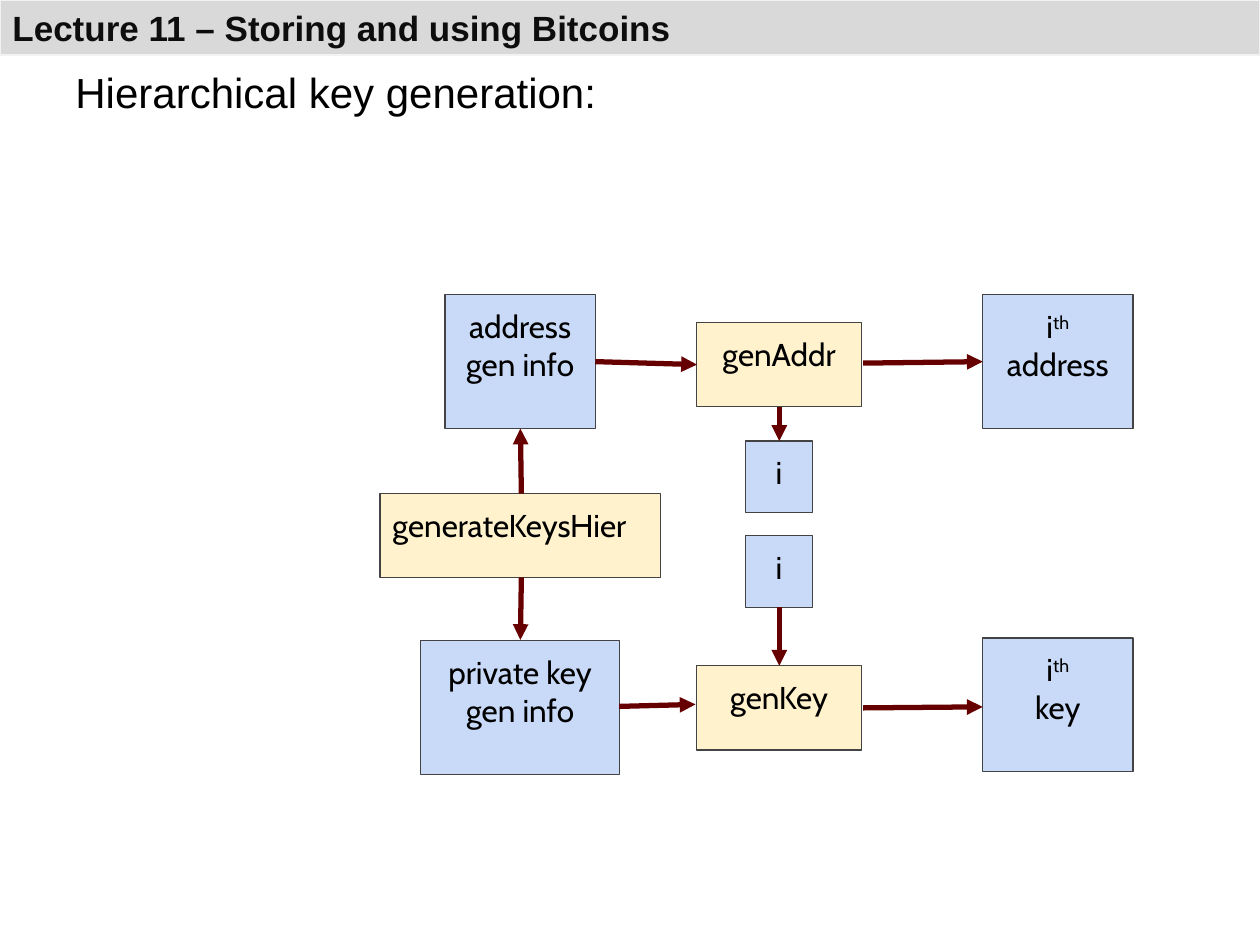
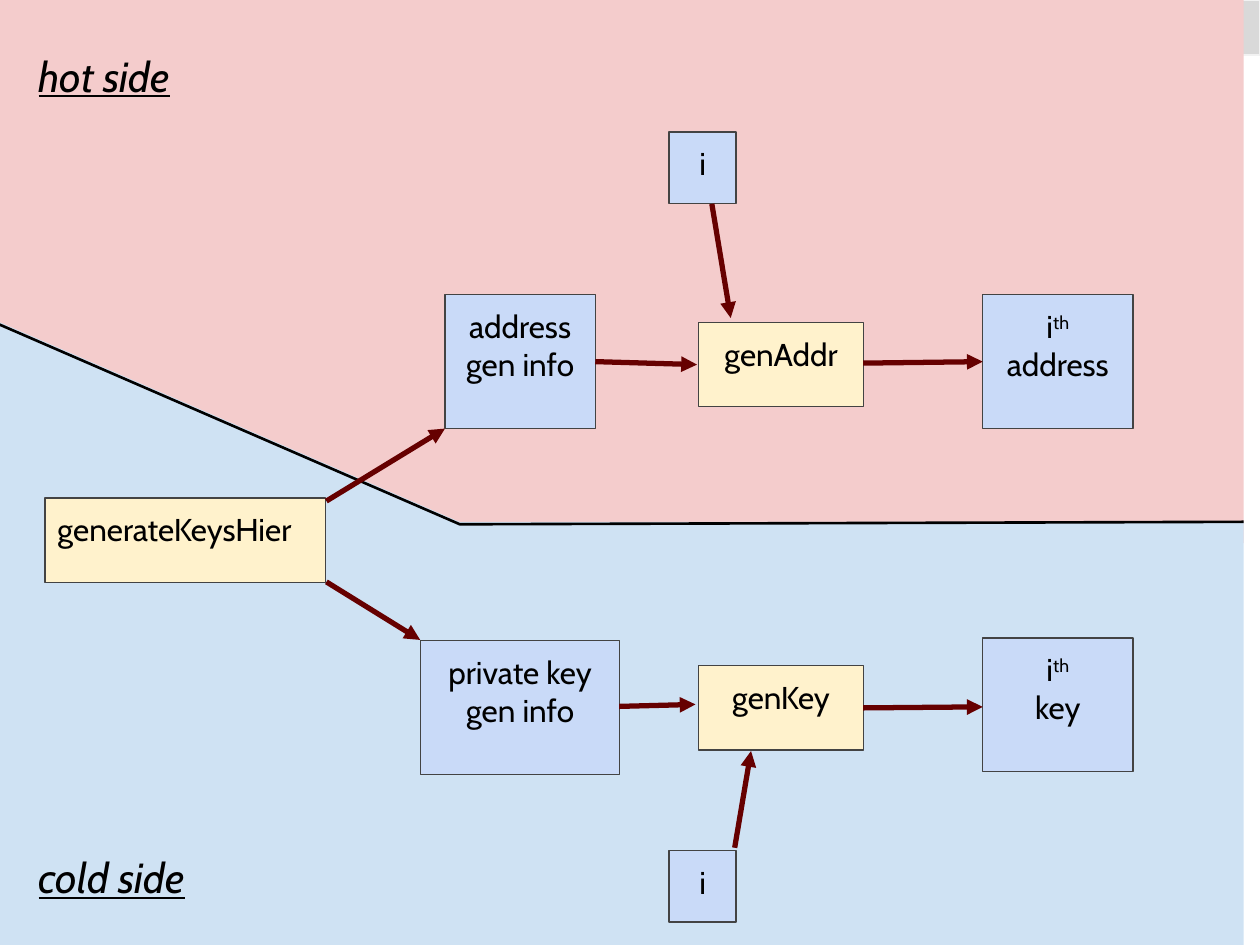
from lxml import etree
from pptx import Presentation
from pptx.dml.color import RGBColor
from pptx.enum.shapes import MSO_CONNECTOR, MSO_SHAPE
from pptx.enum.text import MSO_ANCHOR, MSO_AUTO_SIZE, PP_ALIGN
from pptx.oxml.ns import qn
from pptx.util import Cm, Pt

RECTANGLE = MSO_SHAPE.RECTANGLE
RIGHT_TRIANGLE = MSO_SHAPE.RIGHT_TRIANGLE
STRAIGHT = MSO_CONNECTOR.STRAIGHT
TOP, MIDDLE = MSO_ANCHOR.TOP, MSO_ANCHOR.MIDDLE
LEFT, CENTER = PP_ALIGN.LEFT, PP_ALIGN.CENTER

COLORS = {
    "band": "D9D9D9", "band_edge": "F2F2F2", "title": "0D0D0D",
    "text": "000000", "data": "C9DAF8", "function": "FFF2CC",
    "box_edge": "434343", "arrow": "660000", "border": "000000",
    "hot": "F4CCCC", "cold": "CFE2F3",
}
FRAME_FORMAT = {
    "margin_left": Cm(0.25), "margin_right": Cm(0.25),
    "margin_top": Cm(0.25), "margin_bottom": Cm(0.25),
    "word_wrap": True, "auto_size": MSO_AUTO_SIZE.NONE,
}
TITLE_FONT = {"name": "Arial", "size": Pt(20), "bold": True}
BODY_FONT = {"name": "Arial", "size": Pt(24)}
BOX_FONT = {"name": "Cabin", "size": Pt(18)}
SIDE_FONT = {"name": "Cabin", "size": Pt(24), "italic": True, "underline": True}

SLIDE_WIDTH, SLIDE_HEIGHT = 25.4, 19.05
SIDE_WIDTH = 25.07
DATA_SIZE = (3.03, 2.7)
PRIVATE_SIZE = (4.01, 2.7)
INDEX_SIZE = (1.35, 1.45)
GENERATOR_SIZE = (3.33, 1.7)
HIERARCHY_SIZE = (5.66, 1.7)
ADDRESS_TOP, KEY_TOP = 5.94, 12.88
RESULT_LEFT = 19.81


def paint(shape, fill, line=None, width=0.75):
    shape.shadow.inherit = False
    shape.fill.solid()
    shape.fill.fore_color.rgb = RGBColor.from_string(COLORS[fill])
    if line:
        shape.line.color.rgb = RGBColor.from_string(COLORS[line])
        shape.line.width = Pt(width)
    else:
        shape.line.fill.background()


def write_text(shape, text, font_format, alignment=LEFT, anchor=TOP, color="text"):
    """Write one paragraph per line; what follows a ^ is superscript."""
    frame = shape.text_frame
    for name, value in FRAME_FORMAT.items():
        setattr(frame, name, value)
    frame.vertical_anchor = anchor
    for number, line in enumerate(text.split("\n")):
        paragraph = frame.add_paragraph() if number else frame.paragraphs[0]
        paragraph.alignment = alignment
        paragraph.space_before = Pt(0)
        for level, part in enumerate(line.split("^")):
            run = paragraph.add_run()
            run.text = part
            for name, value in font_format.items():
                setattr(run.font, name, value)
            run.font.color.rgb = RGBColor.from_string(COLORS[color])
            if level:
                run._r.get_or_add_rPr().set("baseline", "30000")


presentation = Presentation()
presentation.slide_width = Cm(SLIDE_WIDTH)
presentation.slide_height = Cm(SLIDE_HEIGHT)
overview = presentation.slides.add_slide(presentation.slide_layouts[1])
sides = presentation.slides.add_slide(presentation.slide_layouts[6])

# The grey band holds the title where there is one
for slide in (overview, sides):
    place = (Cm(0), Cm(0), Cm(SLIDE_WIDTH), Cm(1.11))
    band = slide.shapes.title
    if band is None:
        band = slide.shapes.add_shape(RECTANGLE, *place)
    band.left, band.top, band.width, band.height = place
    paint(band, "band", "band_edge")
write_text(overview.shapes.title, "Lecture 11 – Storing and using Bitcoins",
           TITLE_FONT, anchor=MIDDLE, color="title")

body = overview.placeholders[1]
body.left, body.top, body.width, body.height = Cm(1.27), Cm(1.09), Cm(22.86), Cm(2.21)
write_text(body, "Hierarchical key generation:", BODY_FONT)
properties = body.text_frame.paragraphs[0]._p.get_or_add_pPr()
properties.set("marL", "0")
properties.set("indent", "0")
etree.SubElement(properties, qn("a:buNone"))

# Hot and cold regions with the border between them
for kind, color, left, top, width, height in (
    (RECTANGLE, "hot", 0, 0, SIDE_WIDTH, 10.95),
    (RIGHT_TRIANGLE, "cold", 0, 6.5, 9.35, 4.06),
    (RECTANGLE, "cold", 0, 10.52, SIDE_WIDTH, SLIDE_HEIGHT - 10.52),
):
    region = sides.shapes.add_shape(kind, Cm(left), Cm(top), Cm(width), Cm(height))
    paint(region, color)

builder = sides.shapes.build_freeform(Cm(SIDE_WIDTH), Cm(10.52))
builder.add_line_segments([(Cm(9.27), Cm(10.57)), (Cm(-0.04), Cm(6.53))], close=False)
border = builder.convert_to_shape()
paint(border, "cold", "border", 1.5)
border.fill.background()

for text, top, width in (("hot side", 0.76, 3.58), ("cold side", 16.92, 4.22)):
    label = sides.shapes.add_textbox(Cm(0.53), Cm(top), Cm(width), Cm(1.7))
    write_text(label, text, SIDE_FONT)

# Boxes: text, fill, left, top, size
shared_boxes = [
    ("address\ngen info", "data", 8.97, ADDRESS_TOP, DATA_SIZE),
    ("private key\ngen info", "data", 8.48, KEY_TOP + 0.03, PRIVATE_SIZE),
    ("i^th\naddress", "data", RESULT_LEFT, ADDRESS_TOP, DATA_SIZE),
    ("i^th\nkey", "data", RESULT_LEFT, KEY_TOP - 0.02, DATA_SIZE),
]
# Arrows: start x, start y, end x, end y
shared_arrows = [
    (12, 7.29, 14.05, 7.35),
    (12.48, 14.24, 14.02, 14.2),
    (17.4, 7.32, RESULT_LEFT, 7.29),
    (17.4, 14.27, RESULT_LEFT, 14.25),
]
diagrams = [
    (overview, 14.04, (7.66, 9.95), [(15.03, 8.89), (15.03, 10.8)], [
        (10.51, 9.95, 10.49, 8.64),
        (10.51, 11.64, 10.49, 12.9),
        (15.71, 8.2, 15.71, 8.89),
        (15.71, 12.24, 15.71, 13.42),
    ]),
    (sides, 14.08, (0.91, 10.04), [(13.49, 2.66), (13.49, 17.14)], [
        (6.58, 10.1, 8.97, 8.64),
        (6.58, 11.73, 8.47, 12.9),
        (14.35, 4.11, 14.73, 6.41),
        (14.81, 17.09, 15.14, 15.14),
    ]),
]

for slide, generator_left, hierarchy_place, index_places, arrows in diagrams:
    boxes = shared_boxes + [
        ("generateKeysHier", "function", *hierarchy_place, HIERARCHY_SIZE),
        ("genAddr", "function", generator_left, 6.5, GENERATOR_SIZE),
        ("genKey", "function", generator_left, 13.42, GENERATOR_SIZE),
    ]
    boxes += [("i", "data", *place, INDEX_SIZE) for place in index_places]
    for text, color, left, top, (width, height) in boxes:
        box = slide.shapes.add_shape(RECTANGLE, Cm(left), Cm(top), Cm(width), Cm(height))
        paint(box, color, "box_edge")
        alignment = LEFT if text == "generateKeysHier" else CENTER
        write_text(box, text, BOX_FONT, alignment)

    for ends in shared_arrows + arrows:
        arrow = slide.shapes.add_connector(STRAIGHT, *[Cm(value) for value in ends])
        arrow.line.color.rgb = RGBColor.from_string(COLORS["arrow"])
        arrow.line.width = Pt(3)
        etree.SubElement(arrow.line._get_or_add_ln(), qn("a:tailEnd"), type="triangle")
        etree.SubElement(arrow._element.spPr, qn("a:effectLst"))

presentation.save("out.pptx")
